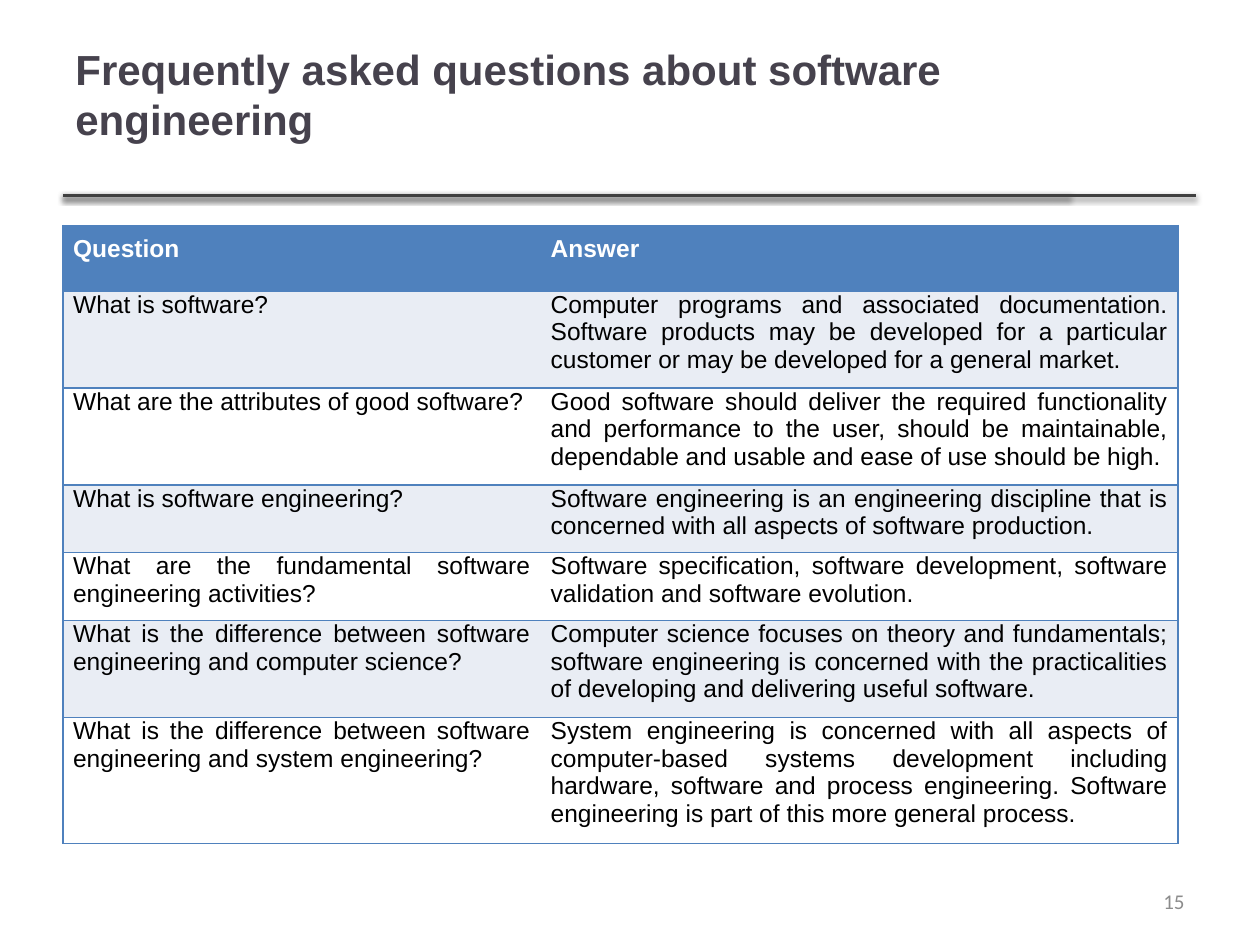
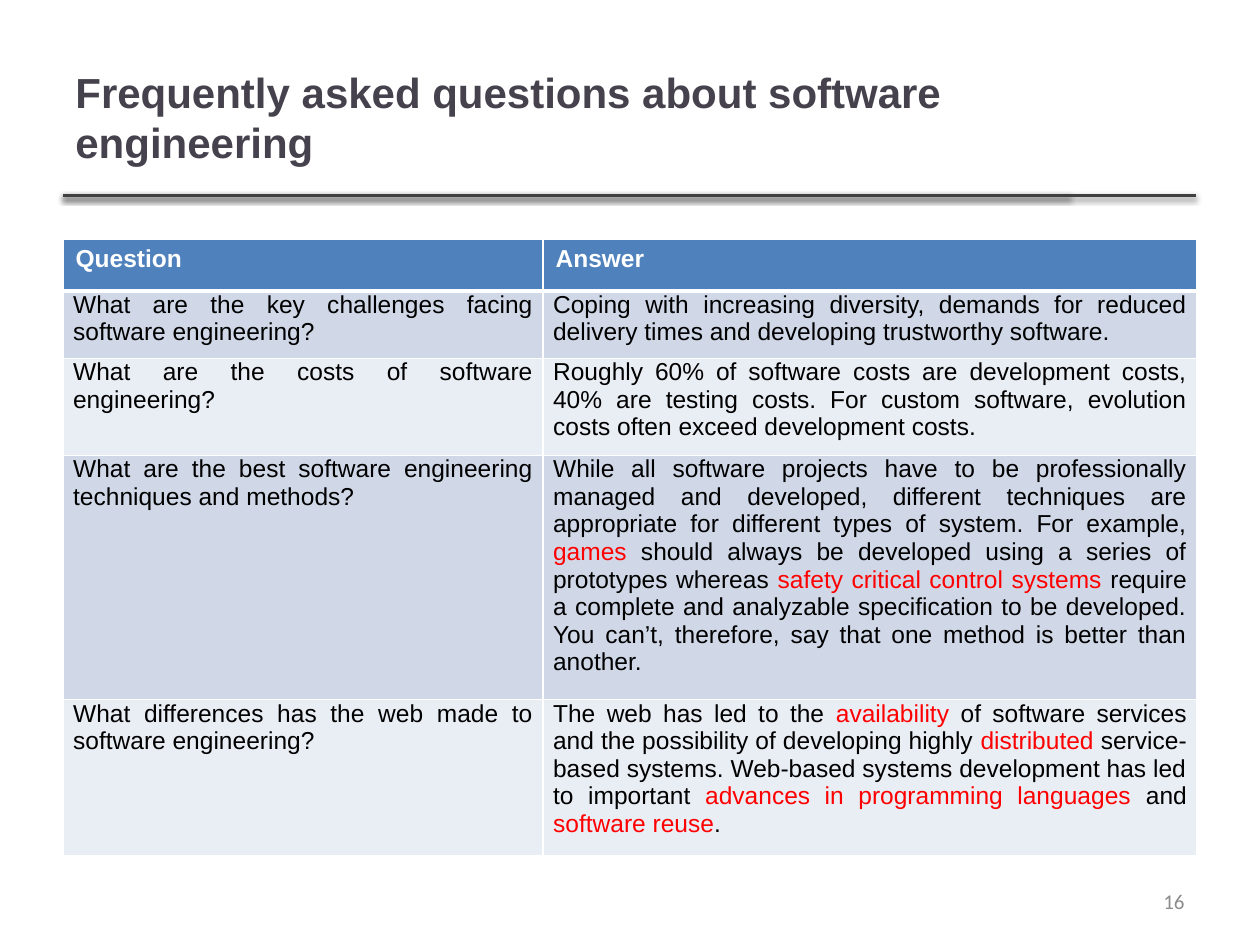
from lxml import etree
from pptx import Presentation
from pptx.dml.color import RGBColor
from pptx.enum import shapes, text
from pptx.oxml import ns
from pptx.util import Pt

INK, RULE, GREY = "46424D", "404040", "8C8C8C"
BLACK, WHITE, RED = "000000", "FFFFFF", "FF0000"
BLUE, MIST, HAZE = "4F81BD", "E9EDF4", "D0D8E8"
LEFT = 36
TITLE = "Frequently asked questions about software engineering"
BODY_INSETS = (5.8, 0, 5.8, 5)


def color(hex_code):
    return RGBColor.from_string(hex_code)


def add_xml(parent, tag, **attributes):
    return etree.SubElement(parent, ns.qn(tag), attributes)


def set_insets(owner, insets):
    owner.margin_left, owner.margin_top, owner.margin_right, owner.margin_bottom = map(Pt, insets)


class Deck:
    def __init__(self):
        self.prs = Presentation()
        self.prs.slide_width, self.prs.slide_height = Pt(720), Pt(540)
        self.slide = None

    def start(self, number, title_width, title_height, title_insets):
        """Begin a slide with the shared rules, title and page number."""
        self.slide = self.prs.slides.add_slide(self.prs.slide_layouts[6])
        for end in (611.3, 683.3):
            self.rule(LEFT, end, 111.6)
        self.label(TITLE, (LEFT, 21.6, title_width, title_height), 24, INK,
                   bold=True, insets=title_insets)
        self.label(str(number), (516.2, 500.4, 167.8, 28.8), 12, GREY,
                   font="Calibri", align=text.PP_ALIGN.RIGHT)

    def style(self, run, size, hex_code, bold=False, font="Arial"):
        run.font.name, run.font.size, run.font.bold = font, Pt(size), bold
        run.font.color.rgb = color(hex_code)

    def rule(self, start, end, y):
        line = self.slide.shapes.add_connector(
            shapes.MSO_CONNECTOR.STRAIGHT, Pt(start), Pt(y), Pt(end), Pt(y))
        line.line.color.rgb, line.line.width = color(RULE), Pt(2)
        effects = add_xml(line._element.spPr, "a:effectLst")
        shadow = add_xml(effects, "a:outerShdw", blurRad=str(Pt(3.1)), dist=str(Pt(1.6)),
                         dir="5400000", rotWithShape="0")
        add_xml(add_xml(shadow, "a:srgbClr", val=BLACK), "a:alpha", val="38000")

    def label(self, words, box, size, hex_code, bold=False, font="Arial",
              align=text.PP_ALIGN.LEFT, insets=(7.2, 3.6, 7.2, 3.6)):
        frame = self.slide.shapes.add_textbox(*map(Pt, box)).text_frame
        frame.word_wrap = True
        frame.vertical_anchor = text.MSO_ANCHOR.MIDDLE
        set_insets(frame, insets)
        frame.text = words
        frame.paragraphs[0].alignment = align
        self.style(frame.paragraphs[0].runs[0], size, hex_code, bold, font)

    def border(self, cell, sides):
        """sides maps L, R, T, B to (colour, width); a missing side has no line."""
        properties = cell._tc.get_or_add_tcPr()
        for side in "LRTB":
            hex_code, width = sides.get(side, (None, 0))
            line = add_xml(properties, f"a:ln{side}", w=str(Pt(width)))
            if hex_code:
                add_xml(add_xml(line, "a:solidFill"), "a:srgbClr", val=hex_code)
            else:
                add_xml(line, "a:noFill")

    def cell(self, cell, words, fill, sides, header, insets, align):
        """Words between asterisks are shown in red."""
        self.border(cell, sides)
        cell.fill.solid()
        cell.fill.fore_color.rgb = color(fill)
        set_insets(cell, insets)
        paragraph = cell.text_frame.paragraphs[0]
        paragraph.alignment = align
        for index, part in enumerate(words.split("*")):
            run = paragraph.add_run()
            run.text = part
            plain = WHITE if header else BLACK
            self.style(run, 14, RED if index % 2 else plain, bold=header)

    def faq(self, top, widths, heights, entries, bands, sides_of, header_insets, header_align):
        rows = [("Question", "Answer")] + entries
        table = self.slide.shapes.add_table(
            len(rows), 2, Pt(LEFT), Pt(top), Pt(sum(widths)), Pt(sum(heights))).table
        for column, width in zip(table.columns, widths):
            column.width = Pt(width)
        for r, (row, height) in enumerate(zip(rows, heights)):
            table.rows[r].height = Pt(height)
            header = r == 0
            fill = BLUE if header else bands[(r - 1) % 2]
            insets = header_insets if header else BODY_INSETS
            align = header_align if header else text.PP_ALIGN.JUSTIFY
            for c, words in enumerate(row):
                self.cell(table.cell(r, c), words, fill, sides_of(r, c), header, insets, align)


def outlined(row, column):
    """Blue lines around each row, none between the columns."""
    return {side: (BLUE, 1) for side in ("LTB", "RTB")[column]}


def white_grid(row, column):
    """White lines everywhere, thicker under the header."""
    sides = {side: (WHITE, 1) for side in "LRTB"}
    if row < 2:
        sides["B" if row == 0 else "T"] = (WHITE, 3)
    return sides


BASICS = [
    ("What is software?",
     "Computer programs and associated documentation. Software products may be developed "
     "for a particular customer or may be developed for a general market."),
    ("What are the attributes of good software?",
     "Good software should deliver the required functionality and performance to the user, "
     "should be maintainable, dependable and usable and ease of use should be high."),
    ("What is software engineering?",
     "Software engineering is an engineering discipline that is concerned with all aspects "
     "of software production."),
    ("What are the fundamental software engineering activities?",
     "Software specification, software development, software validation and software evolution."),
    ("What is the difference between software engineering and computer science?",
     "Computer science focuses on theory and fundamentals; software engineering is concerned "
     "with the practicalities of developing and delivering useful software."),
    ("What is the difference between software engineering and system engineering?",
     "System engineering is concerned with all aspects of computer-based systems development "
     "including hardware, software and process engineering. Software engineering is part of "
     "this more general process."),
]

PRACTICE = [
    ("What are the key challenges facing software engineering?",
     "Coping with increasing diversity, demands for reduced delivery times and developing "
     "trustworthy software."),
    ("What are the costs of software engineering?",
     "Roughly 60% of software costs are development costs, 40% are testing costs. For custom "
     "software, evolution costs often exceed development costs."),
    ("What are the best software engineering techniques and methods?",
     "While all software projects have to be professionally managed and developed, different "
     "techniques are appropriate for different types of system. For example, *games* should "
     "always be developed using a series of prototypes whereas *safety critical control "
     "systems *require a complete and analyzable specification to be developed. You can’t, "
     "therefore, say that one method is better than another."),
    ("What differences has the web made to software engineering?",
     "The web has led to the *availability *of software services and the possibility of "
     "developing highly *distributed* service-based systems. Web-based systems development "
     "has led to important *advances in programming languages *and *software reuse*."),
]


def main():
    deck = Deck()

    # Basic questions
    deck.start(15, 605.5, 92.9, (7.2, 3.6, 7.2, 32.4))
    deck.faq(128.9, (272.9, 364.3), (37.4, 48.2, 48.2, 37.4, 37.4, 48.2, 61.9), BASICS,
             (MIST, WHITE), outlined, (5.8,) * 4, text.PP_ALIGN.JUSTIFY)

    # Questions about practice
    deck.start(16, 574.6, 90, (7.2, 3.6, 7.2, 3.6))
    deck.faq(136.8, (274.3, 373.7), (29.5,) * 5, PRACTICE,
             (HAZE, MIST), white_grid, (7.2, 3.6, 7.2, 3.6), text.PP_ALIGN.LEFT)

    deck.prs.save("out.pptx")


if __name__ == "__main__":
    main()
